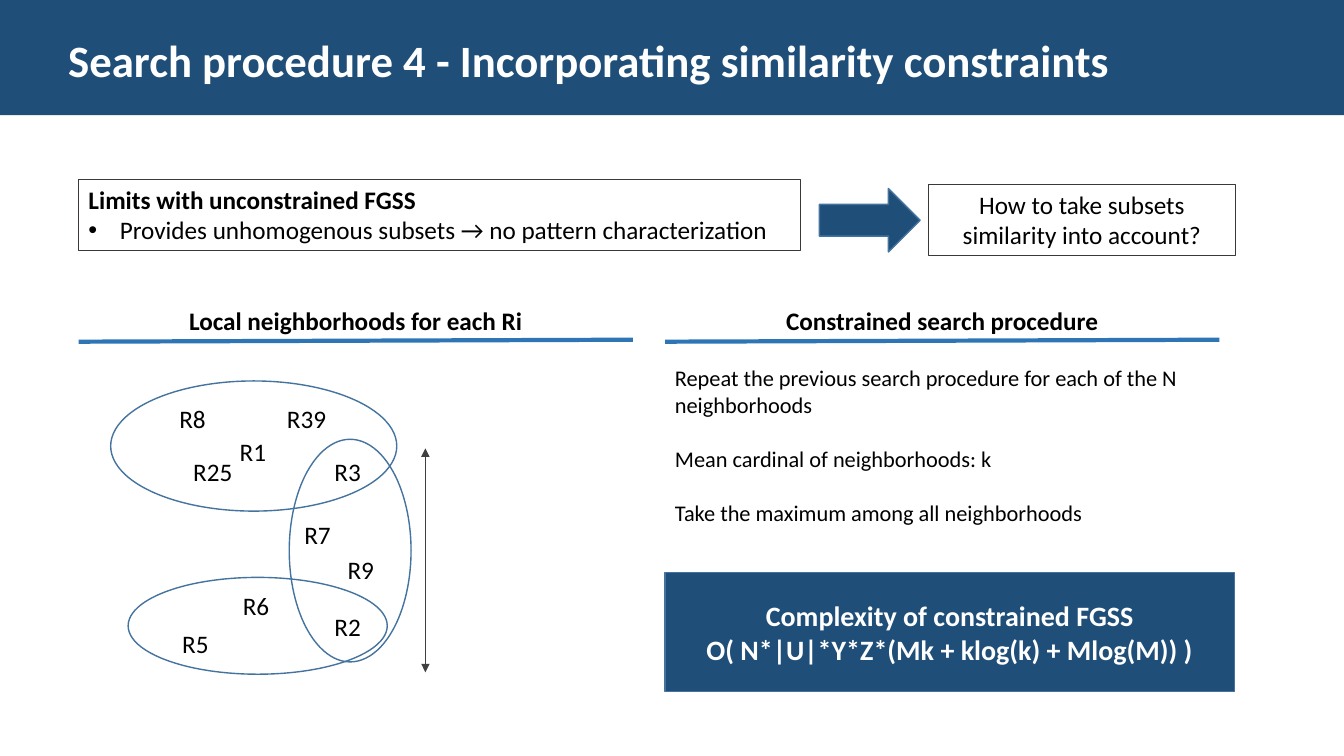
from lxml.etree import SubElement
from pptx import Presentation
from pptx.dml.color import RGBColor
from pptx.enum.shapes import MSO_CONNECTOR as Link, MSO_SHAPE as Kind
from pptx.enum.text import MSO_ANCHOR as Anchor, PP_ALIGN as Align
from pptx.oxml.ns import qn
from pptx.util import Cm, Pt

HUES = {
    "navy": "1F4E79",
    "edge": "43739E",
    "rule": "2E75B6",
    "frame": "3B3838",
    "arrow": "404040",
    "black": "000000",
    "white": "FFFFFF",
}
LEFT, RIGHT = 1.98, 16.76
HALF = 13.97
SETS = [(2.79, 9.6, 7.21, 3.28), (7.29, 11.07, 3.07, 5.61), (3.23, 14.55, 6.53, 2.44)]
ITEMS = {
    "R1": (5.79, 10.87),
    "R8": (4.27, 10.03),
    "R25": (4.62, 11.38),
    "R3": (8.18, 11.38),
    "R39": (6.98, 10.03),
    "R7": (7.42, 12.95),
    "R2": (8.18, 15.27),
    "R9": (8.51, 13.84),
    "R6": (5.87, 14.76),
    "R5": (4.34, 15.7),
}


def hue(name):
    return RGBColor.from_string(HUES[name])


def add_shape(slide, kind, box, fill=None, line=None, width=1):
    shape = slide.shapes.add_shape(kind, *map(Cm, box))
    shape.shadow.inherit = False
    if fill:
        shape.fill.solid()
        shape.fill.fore_color.rgb = hue(fill)
    else:
        shape.fill.background()
    if line:
        shape.line.color.rgb = hue(line)
        shape.line.width = Pt(width)
    else:
        shape.line.fill.background()
    return shape


def write(shape, text, size=18, color="black", bold=False, align=Align.LEFT,
          anchor=Anchor.TOP, wrap=True):
    frame = shape.text_frame
    frame.word_wrap = wrap
    frame.vertical_anchor = anchor
    frame.text = text
    for para in frame.paragraphs:
        para.alignment = align
        for run in para.runs:
            font = run.font
            font.name = "Calibri"
            font.size = Pt(size)
            font.bold = bold
            font.color.rgb = hue(color)
    return frame


def add_text(slide, box, text, **style):
    return write(slide.shapes.add_textbox(*map(Cm, box)), text, **style)


def add_line(slide, ends, color, width, heads=False):
    line = slide.shapes.add_connector(Link.STRAIGHT, *map(Cm, ends))
    line.line.color.rgb = hue(color)
    line.line.width = Pt(width)
    if heads:
        edge = line.line._get_or_add_ln()
        for end in ("a:headEnd", "a:tailEnd"):
            SubElement(edge, qn(end), type="triangle")
    SubElement(line._element.spPr, qn("a:effectLst"))


def add_bullet(para):
    props = para._p.get_or_add_pPr()
    props.set("marL", str(Cm(0.79)))
    props.set("indent", str(Cm(-0.79)))
    SubElement(props, qn("a:buFont"), typeface="Arial")
    SubElement(props, qn("a:buChar"), char="•")


def add_head(slide, left, text):
    add_text(slide, (left, 7.57, HALF, 1.02), text, bold=True, align=Align.CENTER)
    add_line(slide, (left, 8.61, left + HALF, 8.56), "rule", 3)


def add_title(slide):
    add_shape(slide, Kind.RECTANGLE, (0, 0, 33.87, 2.9), "navy")
    title = add_shape(slide, Kind.RECTANGLE, (1.47, 0.71, 30.94, 1.63), "navy")
    write(title, "Search procedure 4 - Incorporating similarity constraints",
          size=32, color="white", bold=True)


def add_limits(slide):
    box = add_shape(slide, Kind.RECTANGLE, (LEFT, 4.52, 18.19, 1.8), line="frame", width=0.75)
    frame = write(box, "Limits with unconstrained FGSS\n"
                  "Provides unhomogenous subsets → no pattern characterization")
    first, second = frame.paragraphs
    first.runs[0].font.bold = True
    add_bullet(second)
    add_shape(slide, Kind.RIGHT_ARROW, (20.65, 4.75, 2.54, 1.6), "navy", "edge")
    ask = add_shape(slide, Kind.RECTANGLE, (23.39, 4.65, 7.75, 1.8), line="frame", width=0.75)
    write(ask, "How to take subsets similarity into account?", align=Align.CENTER)


def add_sets(slide):
    add_head(slide, LEFT, "Local neighborhoods for each Ri")
    for box in SETS:
        add_shape(slide, Kind.OVAL, box, line="edge")
    for name, (left, top) in ITEMS.items():
        width = 1.19 if len(name) == 2 else 1.5
        add_text(slide, (left, top, width, 1.02), name, wrap=False)
    add_line(slide, (10.72, 11.3, 10.72, 16.94), "arrow", 0.5, heads=True)


def add_search(slide):
    add_head(slide, RIGHT, "Constrained search procedure")
    frame = add_text(slide, (RIGHT, 8.76, HALF, 5.64),
                     "Repeat the previous search procedure for each of the N neighborhoods\n"
                     "Mean cardinal of neighborhoods: k\n"
                     "Take the maximum among all neighborhoods", size=16)
    frame.margin_top = Cm(0.41)
    for para in frame.paragraphs[1:]:
        para.space_before = Pt(19.5)
    cost = add_shape(slide, Kind.RECTANGLE, (RIGHT, 14.43, 14.35, 3), "navy", "edge")
    write(cost, "Complexity of constrained FGSS\nO( N*|U|*Y*Z*(Mk + klog(k) + Mlog(M)) )",
          size=20, color="white", bold=True, align=Align.CENTER, anchor=Anchor.MIDDLE)


def main():
    deck = Presentation()
    deck.slide_width, deck.slide_height = Cm(33.87), Cm(19.05)
    slide = deck.slides.add_slide(deck.slide_layouts[6])
    add_title(slide)
    add_limits(slide)
    add_sets(slide)
    add_search(slide)
    deck.save("out.pptx")


if __name__ == "__main__":
    main()
